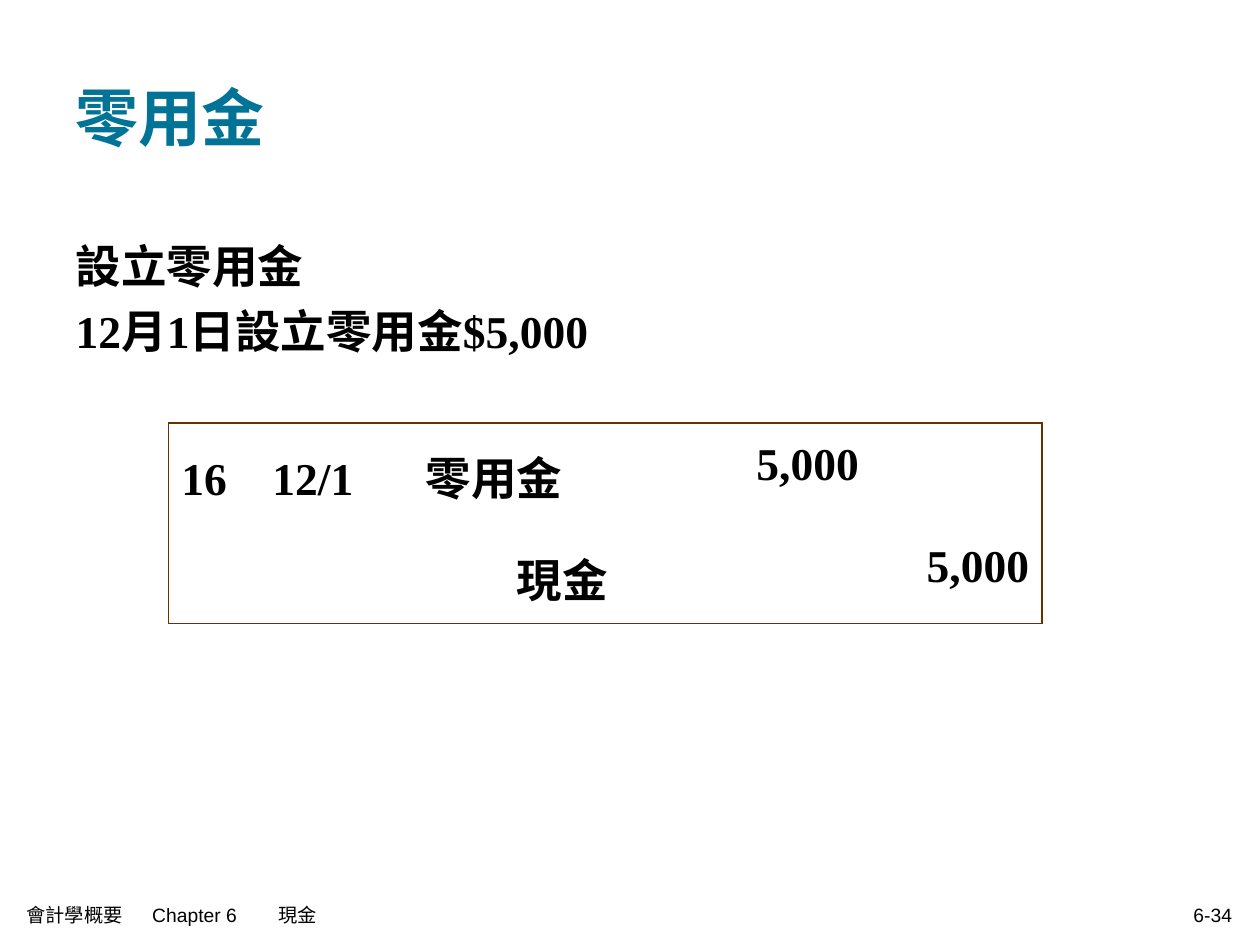
"""Build the petty cash slide with its journal entry."""
import pptx
import pptx.util
import pptx.dml.color
import pptx.enum.text
import pptx.oxml.ns
from lxml import etree

Cm = pptx.util.Cm
Pt = pptx.util.Pt
Align = pptx.enum.text.PP_ALIGN
Anchor = pptx.enum.text.MSO_ANCHOR
TEAL = pptx.dml.color.RGBColor(0x00, 0x73, 0x96)
BLACK = pptx.dml.color.RGBColor(0x00, 0x00, 0x00)
BROWN = pptx.dml.color.RGBColor(0x66, 0x33, 0x00)
SERIF = "Times New Roman"
SANS = "Arial"


def add(parent, tag, **attrs):
    node = etree.SubElement(parent, pptx.oxml.ns.qn(tag))
    for key, value in attrs.items():
        node.set(key, str(value))
    return node


def write(para, text, size=26, font=SERIF, color=BLACK, bold=True,
          align=Align.LEFT, lead=None, indent=0, tabs=()):
    props = para._p.get_or_add_pPr()
    props.set("marL", str(Cm(indent)))
    props.set("indent", "0")
    add(props, "a:buNone")
    if tabs:
        stops = add(props, "a:tabLst")
        for stop in tabs:
            add(stops, "a:tab", pos=Cm(stop), algn="l")
    para.alignment = align
    para.space_before = Pt(0)
    if lead:
        para.line_spacing = lead
    run = para.add_run()
    run.text = text
    run.font.size = Pt(size)
    run.font.name = font
    run.font.bold = bold
    run.font.color.rgb = color


class Page:
    def __init__(self, deck):
        self.slide = deck.slides.add_slide(deck.slide_layouts[1])
        self.lead = 1.2
        self.line = Pt(1.08)

    def place(self, shape, box):
        shape.left, shape.top, shape.width, shape.height = map(Cm, box)
        frame = shape.text_frame
        frame.word_wrap = True
        frame.auto_size = pptx.enum.text.MSO_AUTO_SIZE.NONE
        return frame

    def title(self, text, box):
        frame = self.place(self.slide.shapes.title, box)
        frame.vertical_anchor = Anchor.MIDDLE
        write(frame.paragraphs[0], text, size=36, color=TEAL)

    def body(self, lines, box):
        frame = self.place(self.slide.placeholders[1], box)
        for i, text in enumerate(lines):
            para = frame.add_paragraph() if i else frame.paragraphs[0]
            write(para, text, lead=self.lead)

    def label(self, text, box, **form):
        frame = self.place(self.slide.shapes.add_textbox(*map(Cm, box)), box)
        frame.vertical_anchor = Anchor.MIDDLE
        write(frame.paragraphs[0], text, size=11, font=SANS, bold=False, **form)

    def edge(self, cell, sides):
        props = cell._tc.get_or_add_tcPr()
        for side, shown in sides.items():
            line = add(props, "a:ln" + side, w=self.line)
            if shown:
                add(add(line, "a:solidFill"), "a:srgbClr", val=BROWN)
            else:
                add(line, "a:noFill")

    def table(self, left, top, cols, rows, items):
        shape = self.slide.shapes.add_table(
            len(rows), len(cols), Cm(left), Cm(top), Cm(sum(cols)), Cm(sum(rows)))
        grid = shape.table
        grid.first_row = grid.horz_banding = False
        for col, width in zip(grid.columns, cols):
            col.width = Cm(width)
        for row, height in zip(grid.rows, rows):
            row.height = Cm(height)
        for r in range(len(rows)):
            for c in range(len(cols)):
                cell = grid.cell(r, c)
                self.edge(cell, {"L": c == 0, "R": c == len(cols) - 1,
                                 "T": r == 0, "B": r == len(rows) - 1})
                cell.fill.background()
                if (r, c) in items:
                    text, form = items[r, c]
                    write(cell.text_frame.paragraphs[0], text, lead=self.lead, **form)


def main():
    deck = pptx.Presentation()
    deck.slide_width, deck.slide_height = Cm(25.4), Cm(19.05)
    page = Page(deck)
    page.title("零用金", (1.27, 0.76, 22.86, 3.18))
    page.body(["設立零用金", "12月1日設立零用金$5,000"], (1.27, 4.45, 22.86, 12.57))
    right = {"align": Align.RIGHT}
    entry = {
        (0, 0): ("16　12/1", {}),
        (0, 1): ("零用金", {}),
        (0, 2): ("5,000", right),
        (1, 1): ("現金", {"indent": 1.83}),
        (1, 3): ("5,000", right),
    }
    page.table(3.4, 8.53, (4.93, 5.33, 3.91, 3.43), (2.06, 1.98), entry)
    page.label("會計學概要\tChapter 6\t現金", (0.28, 18.03, 12.95, 0.84), tabs=(2.31, 4.33))
    page.label("6-34", (17.22, 18.03, 7.87, 0.84), **right)
    deck.save("out.pptx")


if __name__ == "__main__":
    main()
